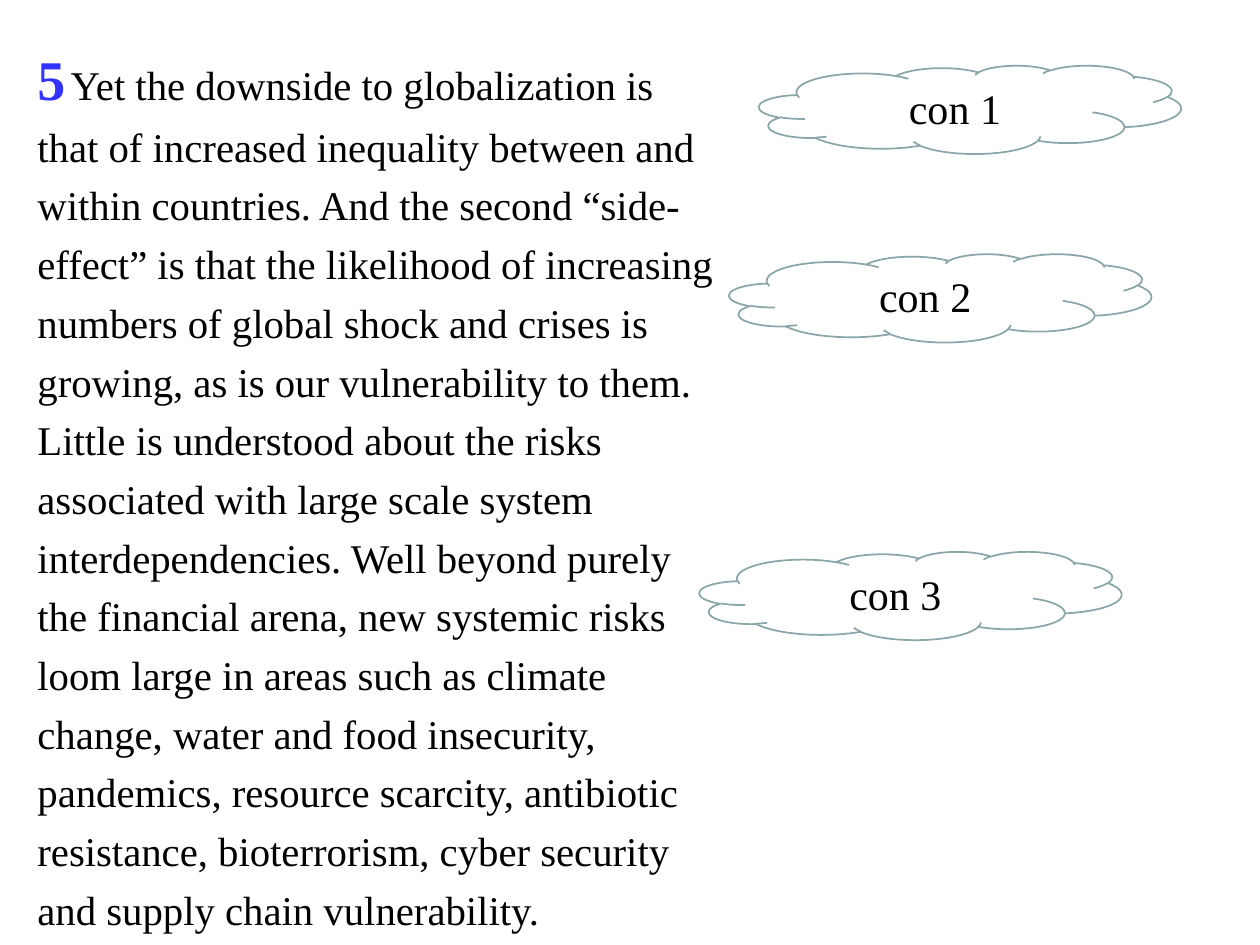
from pptx import Presentation
from pptx.dml.color import RGBColor
from pptx.enum.shapes import MSO_SHAPE
from pptx.enum.text import MSO_ANCHOR, MSO_AUTO_SIZE, PP_ALIGN
from pptx.oxml.xmlchemy import OxmlElement
from pptx.util import Cm, Pt

BLACK = RGBColor(0x00, 0x00, 0x00)
WHITE = RGBColor(0xFF, 0xFF, 0xFF)
BLUE = RGBColor(0x33, 0x33, 0xFF)
SAGE = RGBColor(0x8A, 0xA6, 0xA8)
FONT = "Times New Roman"

PASSAGE = (
    "Yet the downside to globalization is that of increased inequality between "
    "and within countries. And the second “side-effect” is that the likelihood "
    "of increasing numbers of global shock and crises is growing, as is our "
    "vulnerability to them. Little is understood about the risks associated "
    "with large scale system interdependencies. Well beyond purely the "
    "financial arena, new systemic risks loom large in areas such as climate "
    "change, water and food insecurity, pandemics, resource scarcity, "
    "antibiotic resistance, bioterrorism, cyber security and supply chain "
    "vulnerability."
)
CLOUDS = [("con 1", 15.3, 1.32), ("con 2", 14.7, 5.12), ("con 3", 14.1, 11.12)]


def add_text(para, text, size=24, color=BLACK, bold=False):
    run = para.add_run()
    run.text = text
    font = run.font
    font.name, font.size, font.bold = FONT, Pt(size), bold
    font.color.rgb = color


def drop_bullet(para):
    props = para._p.get_or_add_pPr()
    props.set("marL", "0")
    props.set("indent", "0")
    props.append(OxmlElement("a:buNone"))


def fill_body(body):
    body.left, body.top = Cm(0.5), Cm(0.5)
    body.width, body.height = Cm(14.2), Cm(18.34)
    frame = body.text_frame
    frame.word_wrap = True
    frame.auto_size = MSO_AUTO_SIZE.NONE
    para = frame.paragraphs[0]
    para.line_spacing = 1.2
    para.space_before = Pt(0)
    drop_bullet(para)
    add_text(para, "5", size=32, color=BLUE, bold=True)
    add_text(para, " ", size=12)
    add_text(para, PASSAGE, size=23.3)


def add_cloud(slide, label, left, top):
    cloud = slide.shapes.add_shape(
        MSO_SHAPE.CLOUD, Cm(left), Cm(top), Cm(8.51), Cm(1.78))
    cloud.shadow.inherit = False
    cloud.fill.solid()
    cloud.fill.fore_color.rgb = WHITE
    cloud.line.color.rgb = SAGE
    cloud.line.width = Pt(1)
    frame = cloud.text_frame
    frame.vertical_anchor = MSO_ANCHOR.MIDDLE
    para = frame.paragraphs[0]
    para.alignment = PP_ALIGN.CENTER
    add_text(para, label)


def main():
    deck = Presentation()
    deck.slide_width, deck.slide_height = Cm(25.4), Cm(19.05)
    slide = deck.slides.add_slide(deck.slide_layouts[1])
    title = slide.shapes.title.element
    title.getparent().remove(title)
    fill_body(slide.placeholders[1])
    for label, left, top in CLOUDS:
        add_cloud(slide, label, left, top)
    deck.save("out.pptx")


if __name__ == "__main__":
    main()
